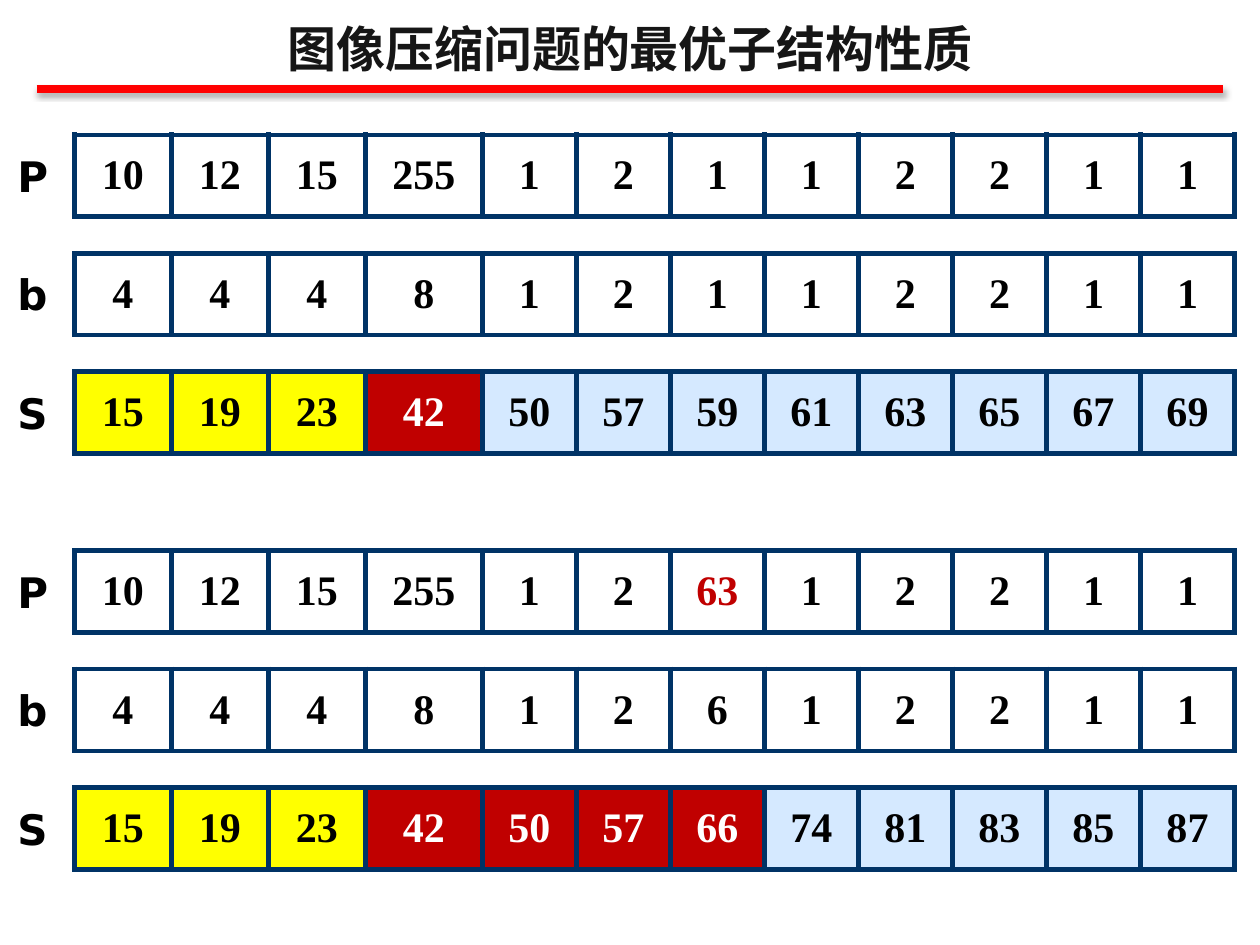
import dataclasses

import lxml.etree
import pptx
import pptx.dml.color
import pptx.enum.shapes
import pptx.enum.text
import pptx.oxml
import pptx.oxml.ns
import pptx.util


@dataclasses.dataclass(frozen=True)
class Theme:
    title_font: str = "Noto Sans CJK SC"
    label_font: str = "DejaVu Sans"
    number_font: str = "Times New Roman"
    title_size: int = 28
    body_size: int = 24
    title: str = "161616"
    ink: str = "000000"
    paper: str = "FFFFFF"
    rule: str = "FF0000"
    border: str = "003366"
    first_segment: str = "FFFF00"
    changed: str = "C00000"
    remaining: str = "D5E9FF"


THEME = Theme()
WIDTH, HEIGHT = 10, 7.5
GRID_LEFT, GRID_WIDTH, ROW_HEIGHT = 0.59, 9.21, 0.65
FIRST_TOP, ROW_PITCH, GROUP_PITCH = 1.07, 0.94, 3.3
LEADING_COLUMNS = [0.77] * 3 + [0.93]
TRAILING_COUNT = 8
TRAILING_WIDTH = (GRID_WIDTH - sum(LEADING_COLUMNS)) / TRAILING_COUNT
COLUMNS = LEADING_COLUMNS + [TRAILING_WIDTH] * TRAILING_COUNT
FIRST_SEGMENT_END = 3


@dataclasses.dataclass(frozen=True)
class Example:
    pixels: tuple
    sums: tuple
    changed_end: int
    marked_pixel: int = -1


EXAMPLES = [
    Example(
        pixels=(10, 12, 15, 255, 1, 2, 1, 1, 2, 2, 1, 1),
        sums=(15, 19, 23, 42, 50, 57, 59, 61, 63, 65, 67, 69),
        changed_end=4,
    ),
    Example(
        pixels=(10, 12, 15, 255, 1, 2, 63, 1, 2, 2, 1, 1),
        sums=(15, 19, 23, 42, 50, 57, 66, 74, 81, 83, 85, 87),
        changed_end=7,
        marked_pixel=6,
    ),
]


def rgb(value):
    return pptx.dml.color.RGBColor.from_string(value)


def inches(*lengths):
    return [pptx.util.Inches(length) for length in lengths]


def write(frame, text, font_name, size, color):
    frame.text = text
    paragraph = frame.paragraphs[0]
    font = paragraph.runs[0].font
    font.name, font.size, font.bold = font_name, pptx.util.Pt(size), True
    font.color.rgb = rgb(color)
    return paragraph


def add_title(slide, text):
    heading = slide.shapes.add_textbox(*inches(0, 0.1, WIDTH, 0.68)).text_frame
    heading.word_wrap = True
    paragraph = write(heading, text, THEME.title_font, THEME.title_size, THEME.title)
    paragraph.alignment = pptx.enum.text.PP_ALIGN.CENTER
    properties = paragraph.runs[0].font._element
    east_asian = lxml.etree.SubElement(properties, pptx.oxml.ns.qn("a:ea"))
    east_asian.set("typeface", THEME.title_font)


def add_title_rule(slide):
    margin, top = 0.029 * WIDTH, 0.71
    rule = slide.shapes.add_connector(
        pptx.enum.shapes.MSO_CONNECTOR.STRAIGHT,
        *inches(margin, top, WIDTH - margin, top),
    )
    rule.line.color.rgb = rgb(THEME.rule)
    rule.line.width = pptx.util.Pt(4.5)
    shadow = pptx.oxml.parse_xml(
        f'<a:effectLst {pptx.oxml.ns.nsdecls("a")}>'
        f'<a:outerShdw blurRad="{pptx.util.Pt(3.1)}" dist="{pptx.util.Pt(1.8)}" '
        'dir="5400000" rotWithShape="0"><a:srgbClr val="000000">'
        '<a:alpha val="35000"/></a:srgbClr></a:outerShdw></a:effectLst>'
    )
    rule._element.spPr.append(shadow)


def set_borders(cell):
    properties = cell._tc.get_or_add_tcPr()
    for position, side in enumerate(("lnL", "lnR", "lnT", "lnB")):
        border = pptx.oxml.parse_xml(
            f'<a:{side} {pptx.oxml.ns.nsdecls("a")} w="{pptx.util.Pt(3)}">'
            f'<a:solidFill><a:srgbClr val="{THEME.border}"/></a:solidFill></a:{side}>'
        )
        properties.insert(position, border)


def add_label(slide, text, top):
    label = slide.shapes.add_textbox(*inches(0.04, top + 0.01, 0.51, 0.63)).text_frame
    label.word_wrap = False
    label.vertical_anchor = pptx.enum.text.MSO_ANCHOR.MIDDLE
    paragraph = write(label, text, THEME.label_font, THEME.body_size, THEME.ink)
    paragraph.space_before = pptx.util.Pt(6)


def add_sequence(slide, label, top, values, styles):
    sequence = slide.shapes.add_table(
        1, len(values), *inches(GRID_LEFT, top, GRID_WIDTH, ROW_HEIGHT)
    ).table
    sequence.first_row = sequence.horz_banding = False
    for column, width in zip(sequence.columns, COLUMNS):
        column.width = pptx.util.Inches(width)
    for cell, value, (color, fill) in zip(sequence.rows[0].cells, values, styles):
        paragraph = write(
            cell.text_frame, str(value), THEME.number_font, THEME.body_size, color
        )
        paragraph.alignment = pptx.enum.text.PP_ALIGN.CENTER
        cell.vertical_anchor = pptx.enum.text.MSO_ANCHOR.MIDDLE
        if fill:
            cell.fill.solid()
            cell.fill.fore_color.rgb = rgb(fill)
        else:
            cell.fill.background()
        set_borders(cell)
    add_label(slide, label, top)


def sum_style(index, changed_end):
    if index < FIRST_SEGMENT_END:
        return THEME.ink, THEME.first_segment
    if index < changed_end:
        return THEME.paper, THEME.changed
    return THEME.ink, THEME.remaining


def add_example(slide, example, top):
    indexes = range(len(example.pixels))
    plain = [(THEME.ink, None) for _ in indexes]
    pixel_styles = [
        (THEME.changed if index == example.marked_pixel else THEME.ink, None)
        for index in indexes
    ]
    sum_styles = [sum_style(index, example.changed_end) for index in indexes]
    bits = [pixel.bit_length() for pixel in example.pixels]
    sequences = [
        ("P", example.pixels, pixel_styles),
        ("b", bits, plain),
        ("S", example.sums, sum_styles),
    ]
    for row, (label, values, styles) in enumerate(sequences):
        add_sequence(slide, label, top + row * ROW_PITCH, values, styles)


def main():
    deck = pptx.Presentation()
    deck.slide_width, deck.slide_height = inches(WIDTH, HEIGHT)
    slide = deck.slides.add_slide(deck.slide_layouts[6])
    add_title_rule(slide)
    add_title(slide, "图像压缩问题的最优子结构性质")
    for group, example in enumerate(EXAMPLES):
        add_example(slide, example, FIRST_TOP + group * GROUP_PITCH)
    deck.save("out.pptx")


if __name__ == "__main__":
    main()
